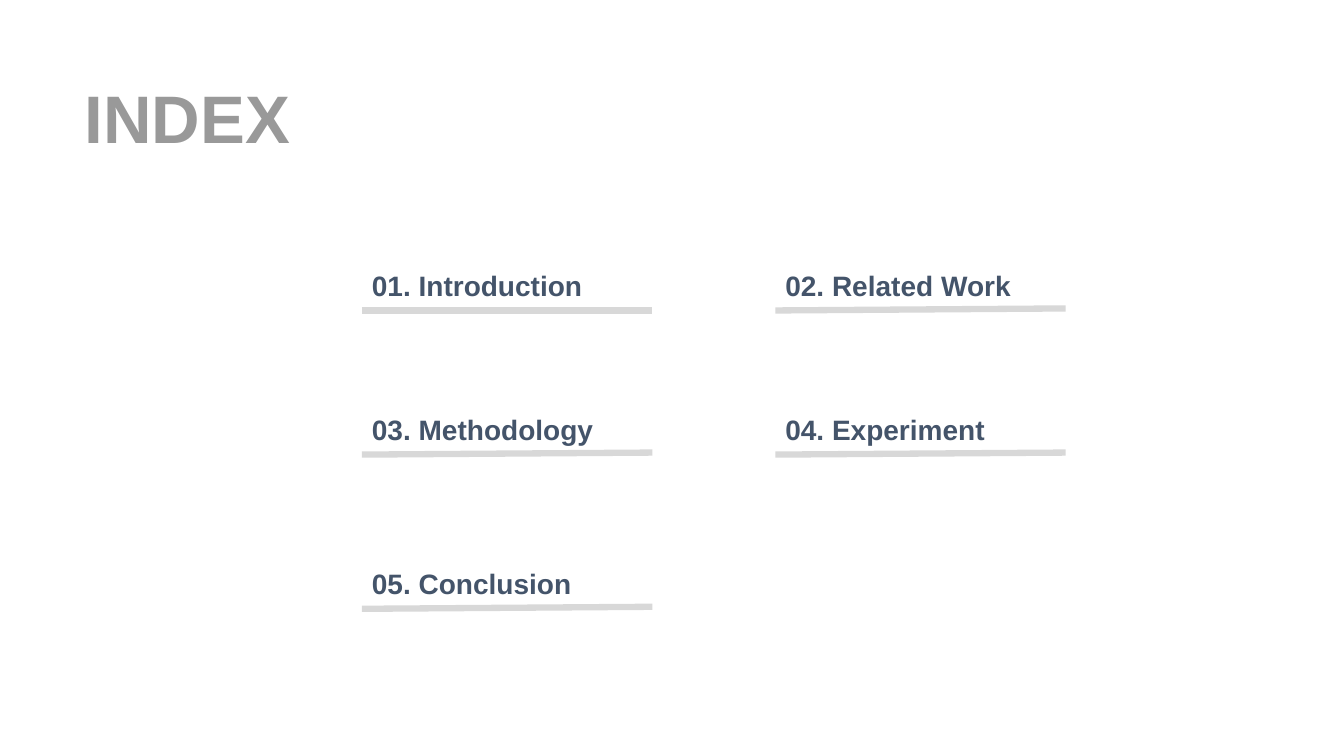
from lxml.etree import SubElement
from pptx import Presentation
from pptx.dml.color import RGBColor
from pptx.enum.shapes import MSO_CONNECTOR
from pptx.enum.text import MSO_ANCHOR, MSO_AUTO_SIZE, PP_ALIGN
from pptx.oxml.ns import qn
from pptx.util import Inches, Pt

GRAY = RGBColor(0x99, 0x99, 0x99)
NAVY = RGBColor(0x44, 0x54, 0x6A)
SILVER = RGBColor(0xD8, 0xD8, 0xD8)
CELL = Inches(0.1)

CHAPTERS = ["Introduction", "Related Work", "Methodology", "Experiment", "Conclusion"]
COLUMNS = [35.9, 76.9]
ROWS = [26.1, 40.4, 55.7]
ENTRY_WIDTH, ENTRY_HEIGHT = 27.9, 3.4
RULE_WIDTH, RULE_DROP, RULE_RISE = 28.8, 4.7, 0.2


def cells(*counts):
    return [round(count * CELL) for count in counts]


def write(frame, words, size, color):
    frame.text = words
    frame.word_wrap = True
    frame.auto_size = MSO_AUTO_SIZE.NONE
    line = frame.paragraphs[0]
    line.alignment = PP_ALIGN.LEFT
    line.font.name = "Arial"
    line.font.size = Pt(size)
    line.font.bold = True
    line.font.color.rgb = color


def add_heading(slide, left, top, width, height):
    heading = slide.shapes.title
    heading.left, heading.top, heading.width, heading.height = cells(left, top, width, height)
    heading.text_frame.vertical_anchor = MSO_ANCHOR.BOTTOM
    write(heading.text_frame, "INDEX", 48, GRAY)


def add_entry(slide, label, left, top, rise):
    rule = slide.shapes.add_connector(
        MSO_CONNECTOR.STRAIGHT,
        *cells(left, top + RULE_DROP, left + RULE_WIDTH, top + RULE_DROP - rise),
    )
    rule.line.color.rgb = SILVER
    rule.line.width = Pt(4.5)
    SubElement(rule._element.spPr, qn("a:effectLst"))
    entry = slide.shapes.add_textbox(*cells(left, top, ENTRY_WIDTH, ENTRY_HEIGHT))
    write(entry.text_frame, label, 20, NAVY)


def add_index(slide):
    for position, chapter in enumerate(CHAPTERS):
        row, column = divmod(position, len(COLUMNS))
        rise = RULE_RISE if position else 0
        add_entry(slide, f"{position + 1:02}. {chapter}", COLUMNS[column], ROWS[row], rise)


def main():
    deck = Presentation()
    deck.slide_width, deck.slide_height = Inches(13.33), Inches(7.5)
    slide = deck.slides.add_slide(deck.slide_layouts.get_by_name("Title Only"))
    add_heading(slide, 7.4, 7, 82.9, 9.1)
    add_index(slide)
    deck.save("out.pptx")


if __name__ == "__main__":
    main()
